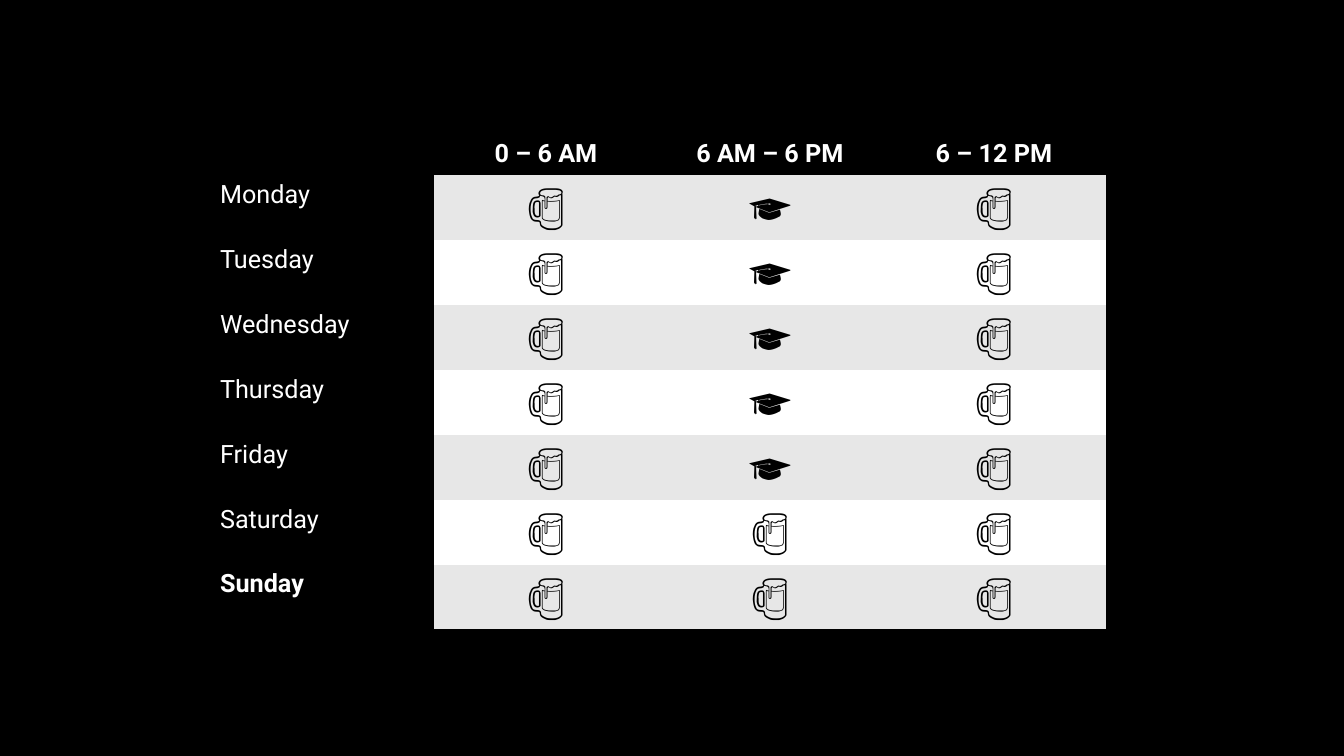
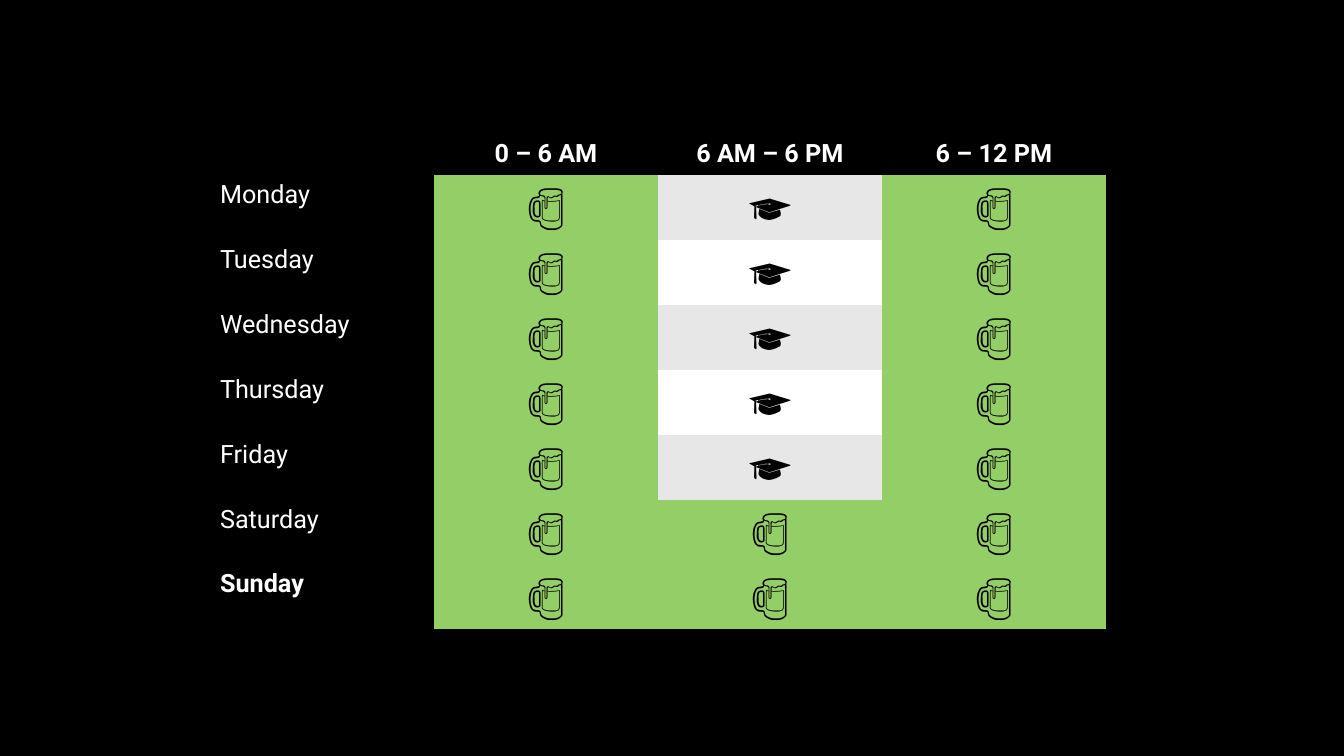
"""Build two slides that show a weekly timetable, plain and with the leisure hours highlighted."""
from pptx import Presentation
from pptx.dml.color import RGBColor
from pptx.enum.text import PP_ALIGN
from pptx.util import Pt

COLORS = {
    "black": "000000",
    "white": "FFFFFF",
    "grey": "E7E7E7",
    "green": "94CE67",
}
NO_STYLE_NO_GRID = "{2D5ABB26-0587-4C30-8999-92F81FD0307C}"
PERIODS = ["0 – 6 AM", "6 AM – 6 PM", "6 – 12 PM"]
WORKDAY = ["🍺", "🎓", "🍺"]
DAY_OFF = ["🍺", "🍺", "🍺"]
WEEK = {
    "Monday": WORKDAY,
    "Tuesday": WORKDAY,
    "Wednesday": WORKDAY,
    "Thursday": WORKDAY,
    "Friday": WORKDAY,
    "Saturday": DAY_OFF,
    "Sunday": DAY_OFF,
}
COLUMN_WIDTH = 160
HEADER_HEIGHT = 29.2
DAY_HEIGHT = 46.3


def write_cell(cell, text, size=18, font="Roboto", color="white", bold=False,
               align=PP_ALIGN.CENTER, fill=None):
    paragraph = cell.text_frame.paragraphs[0]
    paragraph.alignment = align
    run = paragraph.add_run()
    run.text = text
    run.font.size = Pt(size)
    run.font.name = font
    run.font.bold = bold
    run.font.color.rgb = RGBColor.from_string(COLORS[color])
    if fill:
        cell.fill.solid()
        cell.fill.fore_color.rgb = RGBColor.from_string(COLORS[fill])


presentation = Presentation()
presentation.slide_width = Pt(960)
presentation.slide_height = Pt(540)
background = presentation.slide_master.background.fill
background.solid()
background.fore_color.rgb = RGBColor.from_string(COLORS["black"])

for highlight_leisure in (False, True):
    slide = presentation.slides.add_slide(presentation.slide_layouts[6])
    table = slide.shapes.add_table(
        len(WEEK) + 1, len(PERIODS) + 1, Pt(150), Pt(96),
        Pt(COLUMN_WIDTH * (len(PERIODS) + 1)),
        Pt(HEADER_HEIGHT + DAY_HEIGHT * len(WEEK)),
    ).table
    table.first_row = False
    table.horz_banding = False
    table._tbl.tblPr[0].text = NO_STYLE_NO_GRID

    for column in table.columns:
        column.width = Pt(COLUMN_WIDTH)
    for row in table.rows:
        row.height = Pt(DAY_HEIGHT)
    table.rows[0].height = Pt(HEADER_HEIGHT)

    for column_index, period in enumerate(PERIODS, start=1):
        write_cell(table.cell(0, column_index), period, bold=True)

    for row_index, (day, activities) in enumerate(WEEK.items(), start=1):
        write_cell(table.cell(row_index, 0), day, bold=day == "Sunday", align=PP_ALIGN.LEFT)
        band = "grey" if row_index % 2 else "white"
        for column_index, activity in enumerate(activities, start=1):
            highlighted = highlight_leisure and activity == "🍺"
            write_cell(table.cell(row_index, column_index), activity, size=32,
                       font="Calibri", color="black",
                       fill="green" if highlighted else band)

presentation.save("out.pptx")
